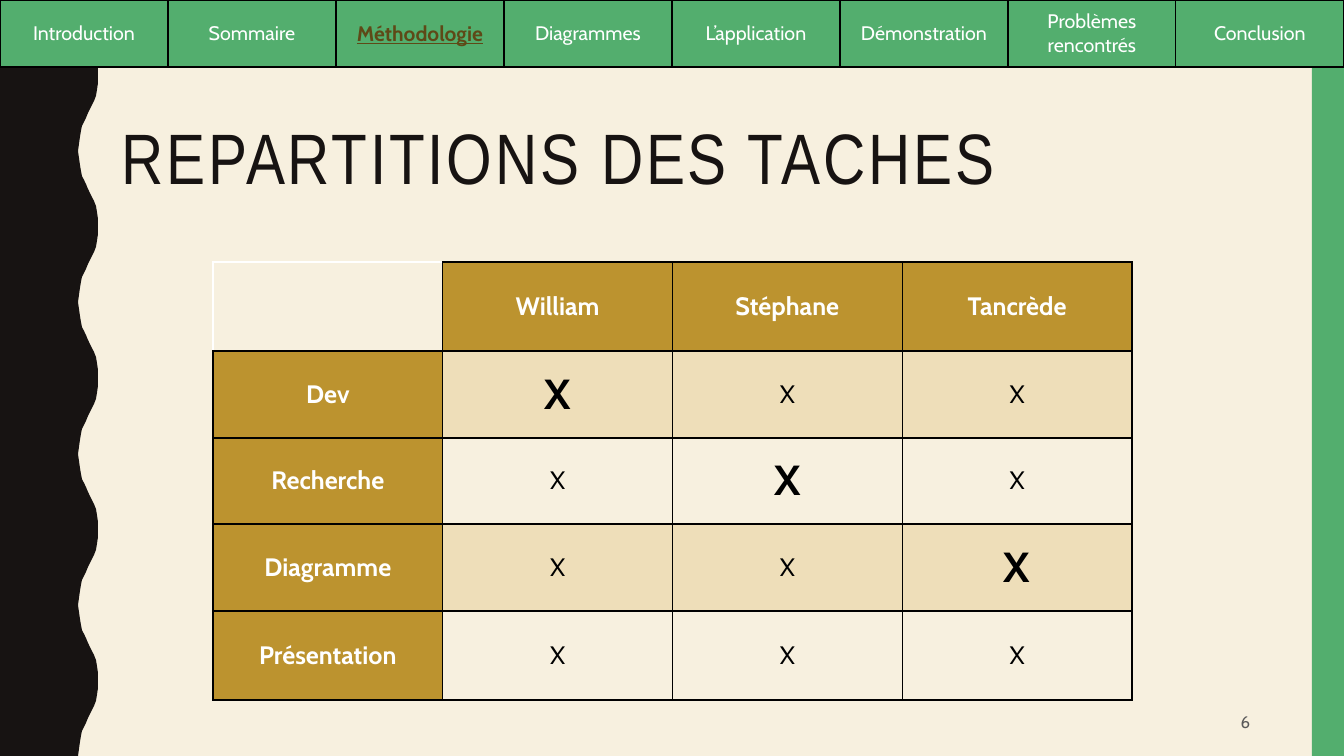
from dataclasses import dataclass
from typing import Optional

from lxml import etree
from pptx import Presentation
from pptx.dml.color import RGBColor
from pptx.enum.shapes import MSO_SHAPE
from pptx.enum.text import MSO_ANCHOR, PP_ALIGN
from pptx.oxml.ns import qn
from pptx.util import Emu, Pt

PX = 914400 / 100.8
SLIDE_W, SLIDE_H = 1344, 756

CREAM = RGBColor(0xF7, 0xF0, 0xDF)
SAND = RGBColor(0xEE, 0xDE, 0xB9)
GOLD = RGBColor(0xBC, 0x93, 0x2F)
BROWN = RGBColor(0x5E, 0x49, 0x17)
GREEN = RGBColor(0x53, 0xAE, 0x6E)
INK = RGBColor(0x17, 0x13, 0x12)
GREY = RGBColor(0x59, 0x59, 0x59)
BLACK = RGBColor(0, 0, 0)
WHITE = RGBColor(0xFF, 0xFF, 0xFF)

BODY_FONT, TITLE_FONT = "Cabin", "Arial Narrow"
RECTANGLE = MSO_SHAPE.RECTANGLE
MIDDLE, TOP = MSO_ANCHOR.MIDDLE, MSO_ANCHOR.TOP
LEFT, CENTER, RIGHT = PP_ALIGN.LEFT, PP_ALIGN.CENTER, PP_ALIGN.RIGHT

SECTIONS = ["Introduction", "Sommaire", "Méthodologie", "Diagrammes", "L’application",
            "Démonstration", "Problèmes rencontrés", "Conclusion"]
CURRENT_SECTION = "Méthodologie"
MEMBERS = ["William", "Stéphane", "Tancrède"]
LEADERS = {"Dev": "William", "Recherche": "Stéphane", "Diagramme": "Tancrède",
           "Présentation": None}

# Half a wave, from trough to crest: (drop, x)
HALF_WAVE = [(0, 78), (7, 79), (14, 80), (20, 81), (25, 82), (29, 84), (33, 86), (38, 88),
             (42, 90), (46, 92), (50, 94), (55, 96), (61, 97), (68, 98)]
HALF_WAVE_COUNT = 10
CREST_X = 98


@dataclass(frozen=True)
class Box:
    left: int
    top: int
    width: int
    height: int

    def emu(self) -> list[Emu]:
        return [px(v) for v in (self.left, self.top, self.width, self.height)]


@dataclass(frozen=True)
class CellSpec:
    text: str
    fill: Optional[RGBColor]
    color: RGBColor = WHITE
    size: int = 18
    bold: bool = False
    underline: bool = False
    outer: RGBColor = BLACK  # colour of the left and top borders


def px(value: float) -> Emu:
    return Emu(round(value * PX))


def style_paragraph(p, align, size: int, color: RGBColor, name: str = BODY_FONT) -> None:
    p.alignment = align
    p.font.name = name
    p.font.size = Pt(size)
    p.font.color.rgb = color


def set_borders(cell, outer: RGBColor) -> None:
    """Draw 1 pt borders; they must precede the fill in the cell properties."""
    tc_pr = cell._tc.get_or_add_tcPr()
    sides = {"a:lnL": outer, "a:lnR": BLACK, "a:lnT": outer, "a:lnB": BLACK}
    for i, (tag, color) in enumerate(sides.items()):
        ln = etree.Element(qn(tag), w=str(Pt(1)))
        solid = etree.SubElement(ln, qn("a:solidFill"))
        etree.SubElement(solid, qn("a:srgbClr"), val=str(color))
        tc_pr.insert(i, ln)


def fill_cell(cell, spec: CellSpec) -> None:
    cell.vertical_anchor = MIDDLE
    if spec.fill is None:
        cell.fill.background()
    else:
        cell.fill.solid()
        cell.fill.fore_color.rgb = spec.fill
    set_borders(cell, spec.outer)
    cell.text = spec.text
    p = cell.text_frame.paragraphs[0]
    style_paragraph(p, CENTER, spec.size, spec.color)
    for r in p.runs:
        r.font.bold = spec.bold
        r.font.underline = spec.underline


def add_grid(s, box: Box, heights: list[int], rows: list[list[CellSpec]]):
    table = s.shapes.add_table(len(rows), len(rows[0]), *box.emu()).table
    table.first_row = table.horz_banding = False
    for column in table.columns:
        column.width = px(box.width / len(rows[0]))
    for row, height, specs in zip(table.rows, heights, rows):
        row.height = px(height)
        for cell, spec in zip(row.cells, specs):
            fill_cell(cell, spec)
    return table


def add_text(s, box: Box, text: str, anchor):
    tf = s.shapes.add_textbox(*box.emu()).text_frame
    tf.word_wrap = True
    tf.vertical_anchor = anchor
    p = tf.paragraphs[0]
    p.add_run().text = text
    return p


def paint(shape, color: RGBColor) -> None:
    shape.shadow.inherit = False
    shape.fill.solid()
    shape.fill.fore_color.rgb = color
    shape.line.fill.background()


def add_wavy_band(s) -> None:
    step = SLIDE_H / HALF_WAVE_COUNT
    falling = [(step - drop, x) for drop, x in reversed(HALF_WAVE[1:])]
    points = []
    for i in range(HALF_WAVE_COUNT):
        half = [(0, CREST_X)] + falling if i % 2 else HALF_WAVE
        points += [(x, round(i * step + drop)) for drop, x in half]
    points += [(HALF_WAVE[0][1], SLIDE_H), (0, SLIDE_H)]
    builder = s.shapes.build_freeform(0, 0, scale=PX)
    builder.add_line_segments(points, close=True)
    paint(builder.convert_to_shape(), INK)


def add_navigation(s) -> None:
    cells = []
    for name in SECTIONS:
        current = name == CURRENT_SECTION
        cells.append(CellSpec(name, GREEN, BROWN if current else WHITE,
                              15 if current else 14, current, current))
    add_grid(s, Box(0, 0, SLIDE_W, 67), [67], [cells])


def add_task_table(s) -> None:
    rows = [[CellSpec("", None, outer=WHITE)]
            + [CellSpec(name, GOLD, bold=True) for name in MEMBERS]]
    for i, (task, leader) in enumerate(LEADERS.items()):
        fill = CREAM if i % 2 else SAND
        marks = [CellSpec("X", fill, BLACK, 30 if name == leader else 18, name == leader)
                 for name in MEMBERS]
        rows.append([CellSpec(task, GOLD, bold=True)] + marks)
    table = add_grid(s, Box(213, 262, 919, 438), [89, 87, 86, 87, 89], rows)
    for cell in table.iter_cells():
        cell.margin_left = cell.margin_right = px(7)
        cell.margin_top = cell.margin_bottom = 0


def add_title(s) -> None:
    p = add_text(s, Box(112, 118, 1122, 164), "REPARTITIONS DES TACHES", TOP)
    style_paragraph(p, LEFT, 51, INK, TITLE_FONT)
    p.line_spacing = 0.9
    p.runs[0]._r.get_or_add_rPr().set("spc", "200")


def main() -> None:
    prs = Presentation()
    prs.slide_width, prs.slide_height = px(SLIDE_W), px(SLIDE_H)
    s = prs.slides.add_slide(prs.slide_layouts[6])
    s.background.fill.solid()
    s.background.fill.fore_color.rgb = CREAM

    add_wavy_band(s)
    paint(s.shapes.add_shape(RECTANGLE, *Box(1312, 0, 32, SLIDE_H).emu()), GREEN)
    add_navigation(s)
    page = add_text(s, Box(950, 703, 310, 38), "6", MIDDLE)
    style_paragraph(page, RIGHT, 12, GREY)
    add_task_table(s)
    add_title(s)
    prs.save("out.pptx")


if __name__ == "__main__":
    main()
